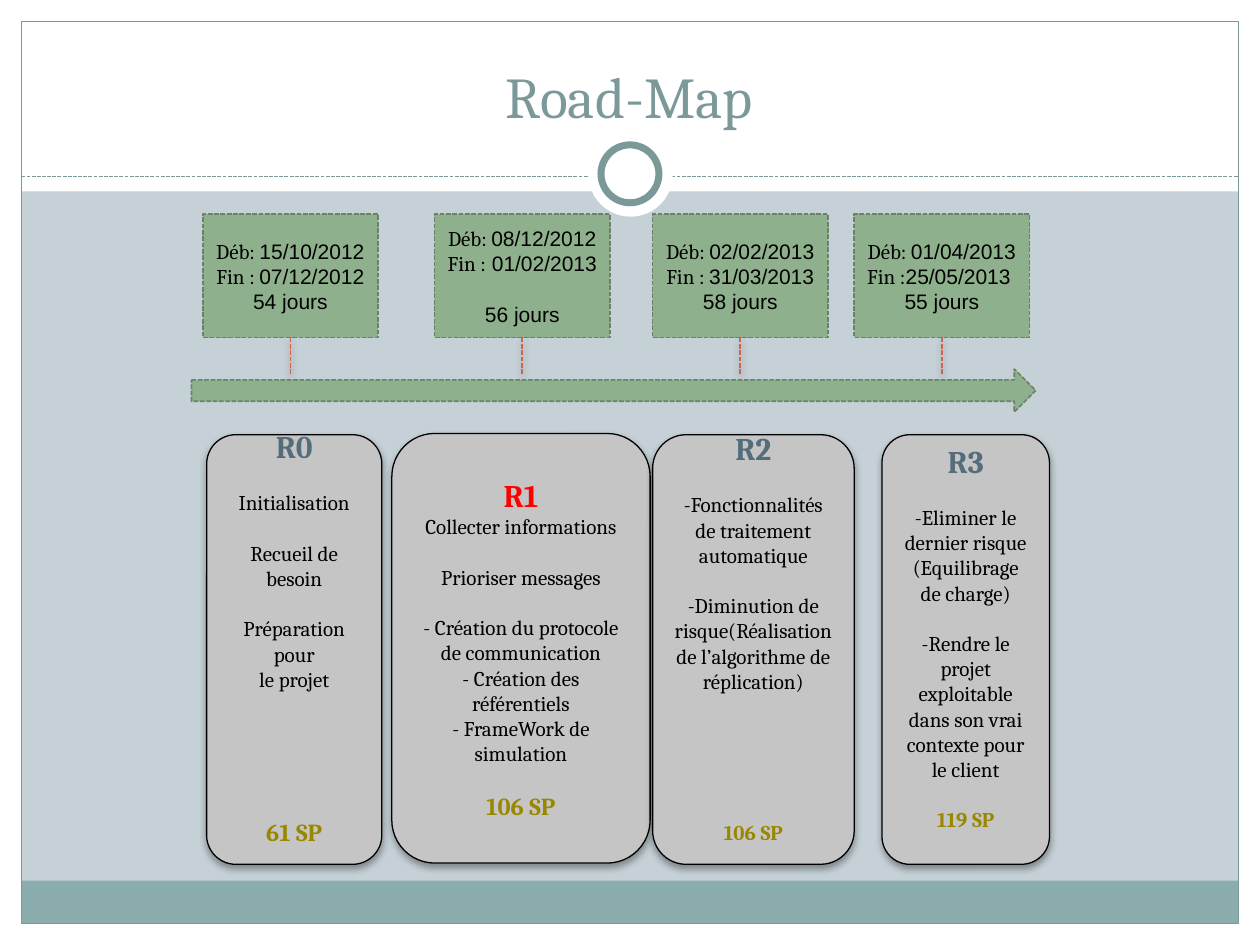
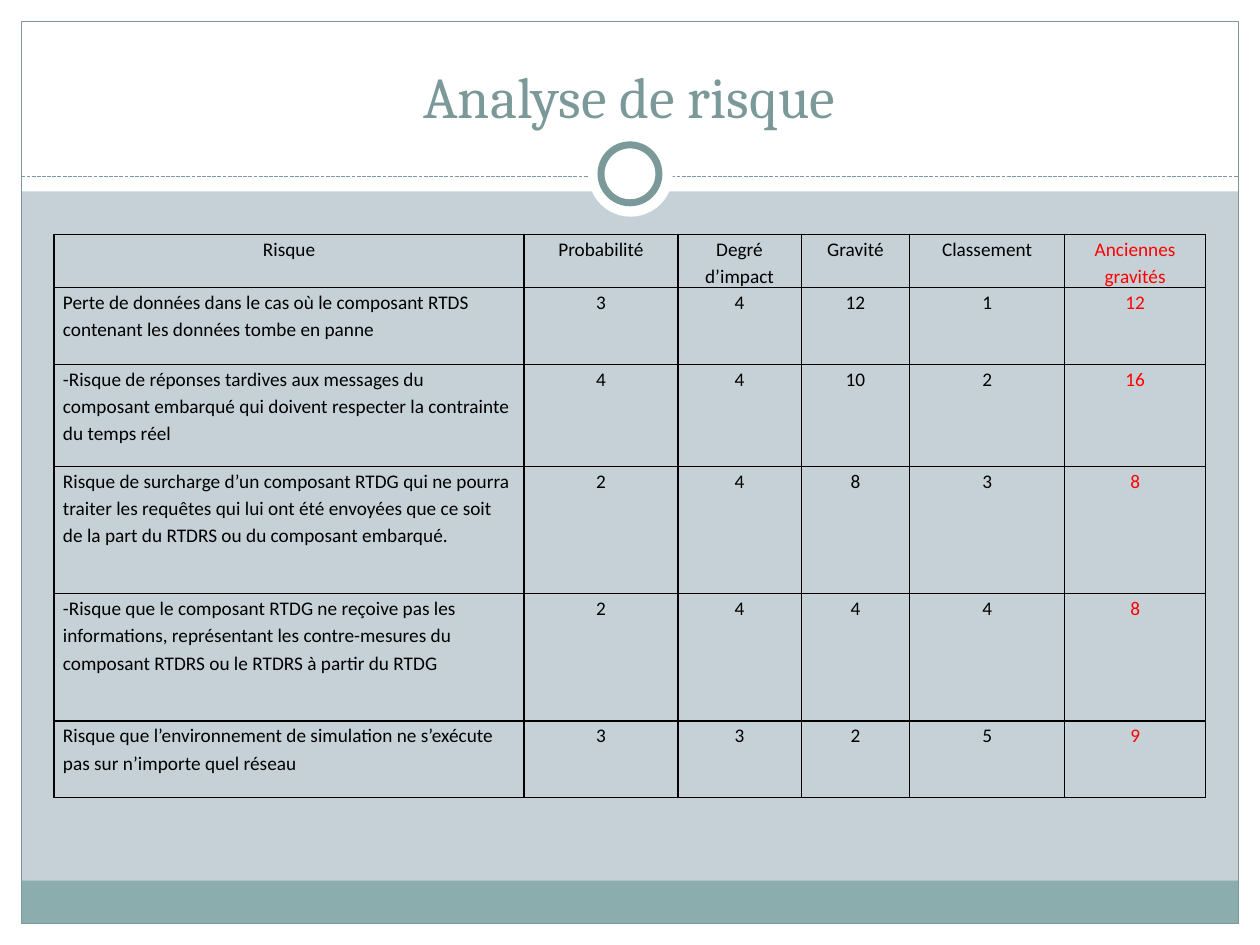
import pptx
import pptx.dml.color
import pptx.enum.dml
import pptx.enum.shapes
import pptx.enum.text
import pptx.oxml
import pptx.oxml.ns
import pptx.util
from lxml import etree

Inches = pptx.util.Inches
Pt = pptx.util.Pt
RGBColor = pptx.dml.color.RGBColor
SHAPE = pptx.enum.shapes.MSO_SHAPE
ALIGN = pptx.enum.text.PP_ALIGN
ANCHOR = pptx.enum.text.MSO_ANCHOR
DASH = pptx.enum.dml.MSO_LINE.SQUARE_DOT
qn = pptx.oxml.ns.qn

MIST = RGBColor(0xC5, 0xD1, 0xD7)
WHITE = RGBColor(0xFF, 0xFF, 0xFF)
BLACK = RGBColor(0, 0, 0)
TEAL = RGBColor(0x7C, 0x99, 0x9A)
BAND = RGBColor(0x8C, 0xAD, 0xAE)
GRAY = RGBColor(0xC5, 0xC5, 0xC5)
GREEN = RGBColor(0x8F, 0xB0, 0x8C)
MOSS = RGBColor(0x6A, 0x82, 0x68)
RUST = RGBColor(0xD1, 0x63, 0x49)
SLATE = RGBColor(0x54, 0x6D, 0x7A)
OLIVE = RGBColor(0x99, 0x87, 0x00)
RED = RGBColor(0xFF, 0, 0)

ROW = 14.4
EDGE = 0.17


def put(item, values):
    for name, value in values.items():
        setattr(item, name, value)


def font(size, color=BLACK, name="Cambria", bold=False):
    return {"size": Pt(size), "name": name, "bold": bold, "color": color}


def sides(inset):
    return {"margin_left": Inches(inset), "margin_right": Inches(inset)}


class Deck:
    def __init__(self):
        self.show = pptx.Presentation()
        put(self.show, {"slide_width": Inches(10), "slide_height": Inches(7.5)})
        self.slide = None

    def page(self, title):
        self.slide = self.show.slides.add_slide(self.show.slide_layouts[6])
        back = self.slide.background.fill
        back.solid()
        back.fore_color.rgb = MIST
        for area in ((0, 7.33, 10, EDGE), (0, 0, 10, 1.52),
                     (0, 0, EDGE, 7.5), (9.83, 0, EDGE, 7.5)):
            self.shape(SHAPE.RECTANGLE, area, WHITE)
        self.shape(SHAPE.RECTANGLE, (EDGE, 6.99, 9.66, 0.34), BAND)
        self.shape(SHAPE.RECTANGLE, (EDGE, EDGE, 9.66, 7.16), None, (TEAL, 0.75))
        self.line((EDGE, 1.4), (9.83, 1.4), TEAL, 0.75)
        self.shape(SHAPE.OVAL, (4.67, 1.05, 0.67, 0.67), WHITE)
        self.shape(SHAPE.OVAL, (4.77, 1.15, 0.46, 0.46), WHITE, (TEAL, 4))
        head = self.slide.shapes.add_textbox(*map(Inches, (0.33, 0.25, 9.33, 0.83)))
        self.text(head.text_frame, [([(title, font(33, TEAL))], 0)],
                  vertical_anchor=ANCHOR.BOTTOM)

    def shade(self, item, cast):
        effect = etree.SubElement(item._element.spPr, qn("a:effectLst"))
        if cast:
            shadow = etree.SubElement(
                effect, qn("a:outerShdw"), blurRad=str(Pt(4)), dist=str(Pt(2)),
                dir="5400000", rotWithShape="0")
            tint = etree.SubElement(shadow, qn("a:srgbClr"), val="000000")
            etree.SubElement(tint, qn("a:alpha"), val="35000")

    def stroke(self, line, color, width, dash=None):
        line.color.rgb = color
        put(line, {"width": Pt(width), "dash_style": dash})

    def shape(self, kind, area, fill, edge=None, cast=False):
        item = self.slide.shapes.add_shape(kind, *map(Inches, area))
        if fill is None:
            item.fill.background()
        else:
            item.fill.solid()
            item.fill.fore_color.rgb = fill
        if edge:
            self.stroke(item.line, *edge)
        else:
            item.line.fill.background()
        self.shade(item, cast)
        return item

    def line(self, start, end, color, width, source=None, cast=False):
        item = self.slide.shapes.add_connector(
            pptx.enum.shapes.MSO_CONNECTOR.STRAIGHT, *map(Inches, start + end))
        if source is not None:
            item.begin_connect(source, 2)
        self.stroke(item.line, color, width, DASH)
        self.shade(item, cast)

    def text(self, frame, lines, align=ALIGN.CENTER, spacing=None, **values):
        put(frame, {"word_wrap": True, **values})
        for index, (runs, gap) in enumerate(lines):
            para = frame.add_paragraph() if index else frame.paragraphs[0]
            put(para, {"alignment": align, "space_before": Pt(gap * ROW)})
            if spacing:
                put(para, spacing)
            for words, look in runs:
                run = para.add_run()
                run.text = words
                put(run.font, {k: v for k, v in look.items() if k != "color"})
                run.font.color.rgb = look["color"]

    def card(self, area, title, color, items, total, size, gap, tail):
        item = self.shape(SHAPE.ROUNDED_RECTANGLE, area, GRAY, (BLACK, 0.75), True)
        lines = [([(title, font(18, color, bold=True))], 0)]
        lines += [([(words, font(12))], lead) for words, lead in items]
        lines.append(([(total, font(size, OLIVE, bold=True))], gap))
        self.text(item.text_frame, lines, vertical_anchor=ANCHOR.MIDDLE,
                  margin_bottom=Inches(0.05 + 0.2 * tail), **sides(0.09))

    def date(self, left, start, label, end, days, gap):
        item = self.shape(SHAPE.RECTANGLE, (left, 1.7, 1.39, 0.98), GREEN, (MOSS, 0.9, DASH))
        serif, sans = font(12), font(12, name="Arial")
        self.text(item.text_frame, [
            ([("Déb: ", serif), (start, sans)], 0),
            ([(label, serif), (end, sans)], 0),
            ([(days, sans)], gap)], vertical_anchor=ANCHOR.MIDDLE, **sides(0.08))
        mid = left + 0.695
        self.line((mid, 2.68), (mid, 2.98), RUST, 0.9, item, True)

    def table(self, area, widths, heights, rows):
        grid = self.slide.shapes.add_table(len(rows), len(widths), *map(Inches, area)).table
        put(grid, {"first_row": False, "horz_banding": False})
        for column, width in zip(grid.columns, widths):
            column.width = Inches(width)
        for row, height in zip(grid.rows, heights):
            row.height = Inches(height)
        for r, row in enumerate(rows):
            for c, words in enumerate(row):
                self.cell(grid.cell(r, c), words, r > 0 and c == 0,
                          RED if c == len(row) - 1 else BLACK)

    def cell(self, cell, words, prose, color):
        props = cell._tc.get_or_add_tcPr()
        for side in ("a:lnL", "a:lnR", "a:lnT", "a:lnB"):
            edge = etree.SubElement(props, qn(side), w=str(Pt(1)))
            fill = etree.SubElement(edge, qn("a:solidFill"))
            etree.SubElement(fill, qn("a:srgbClr"), val=str(BLACK))
        cell.fill.background()
        put(cell, {"margin_top": 0, "margin_bottom": 0, **sides(0.07)})
        self.text(cell.text_frame, [([(words, font(11, color, "Calibri"))], 0)],
                  ALIGN.LEFT if prose else ALIGN.CENTER,
                  {"line_spacing": 1.15, "space_after": Pt(10)})


CARDS = [
    ((3.11, 3.44, 2.05, 3.41), "R1", RED, [
        ("Collecter informations", 0),
        ("Prioriser messages", 1),
        ("- Création du protocole de communication", 1),
        ("- Création des référentiels", 0),
        ("- FrameWork de simulation", 0)], "106 SP", 14, 1, 0),
    ((1.64, 3.45, 1.39, 3.41), "R0", SLATE, [
        ("Initialisation", 1),
        ("Recueil de besoin", 1),
        ("Préparation pour", 1),
        ("le projet", 0)], "61 SP", 14, 5, 1),
    ((5.18, 3.45, 1.6, 3.41), "R2", SLATE, [
        ("-Fonctionnalités de traitement automatique", 1),
        ("-Diminution de risque(Réalisation de l’algorithme de réplication)", 1)],
     "106 SP", 12, 5, 1),
    ((7, 3.45, 1.33, 3.41), "R3", SLATE, [
        ("-Eliminer le dernier risque", 1),
        ("(Equilibrage de charge)", 0),
        ("-Rendre le projet exploitable dans son vrai contexte pour le client", 1)],
     "119 SP", 12, 1, 1),
]

DATES = [
    (1.61, "15/10/2012", "Fin : ", "07/12/2012", "54 jours", 0),
    (3.45, "08/12/2012", "Fin :", " 01/02/2013", "56 jours", 1),
    (5.18, "02/02/2013", "Fin : ", "31/03/2013", "58 jours", 0),
    (6.78, "01/04/2013", "Fin :", "25/05/2013 ", "55 jours", 0),
]

RISKS = [
    ("Risque", "Probabilité", "Degré d’impact", "Gravité", "Classement",
     "Anciennes gravités"),
    ("Perte de données dans le cas où le composant RTDS contenant les données "
     "tombe en panne", "3", "4", "12", "1", "12"),
    ("-Risque de réponses tardives aux messages du composant embarqué qui doivent "
     "respecter la contrainte du temps réel", "4", "4", "10", "2", "16"),
    ("Risque de surcharge d’un composant RTDG qui ne pourra traiter les requêtes "
     "qui lui ont été envoyées que ce soit de la part du RTDRS ou du composant "
     "embarqué.", "2", "4", "8", "3", "8"),
    ("-Risque que le composant RTDG ne reçoive pas les informations, représentant "
     "les contre-mesures du composant RTDRS ou le RTDRS à partir du RTDG",
     "2", "4", "4", "4", "8"),
    ("Risque que l’environnement de simulation ne s’exécute pas sur n’importe quel "
     "réseau", "3", "3", "2", "5", "9"),
]


def main():
    deck = Deck()
    deck.page("Road-Map")
    for card in CARDS:
        deck.card(*card)
    deck.shape(SHAPE.RIGHT_ARROW, (1.52, 2.93, 6.7, 0.34), GREEN, (MOSS, 0.9, DASH))
    for date in DATES:
        deck.date(*date)

    deck.page("Analyse de risque")
    deck.table((0.43, 1.86, 9.13, 4.46), (3.73, 1.22, 0.98, 0.86, 1.23, 1.12),
               (0.4, 0.61, 0.81, 1.01, 1.01, 0.61), RISKS)
    deck.show.save("out.pptx")


if __name__ == "__main__":
    main()
